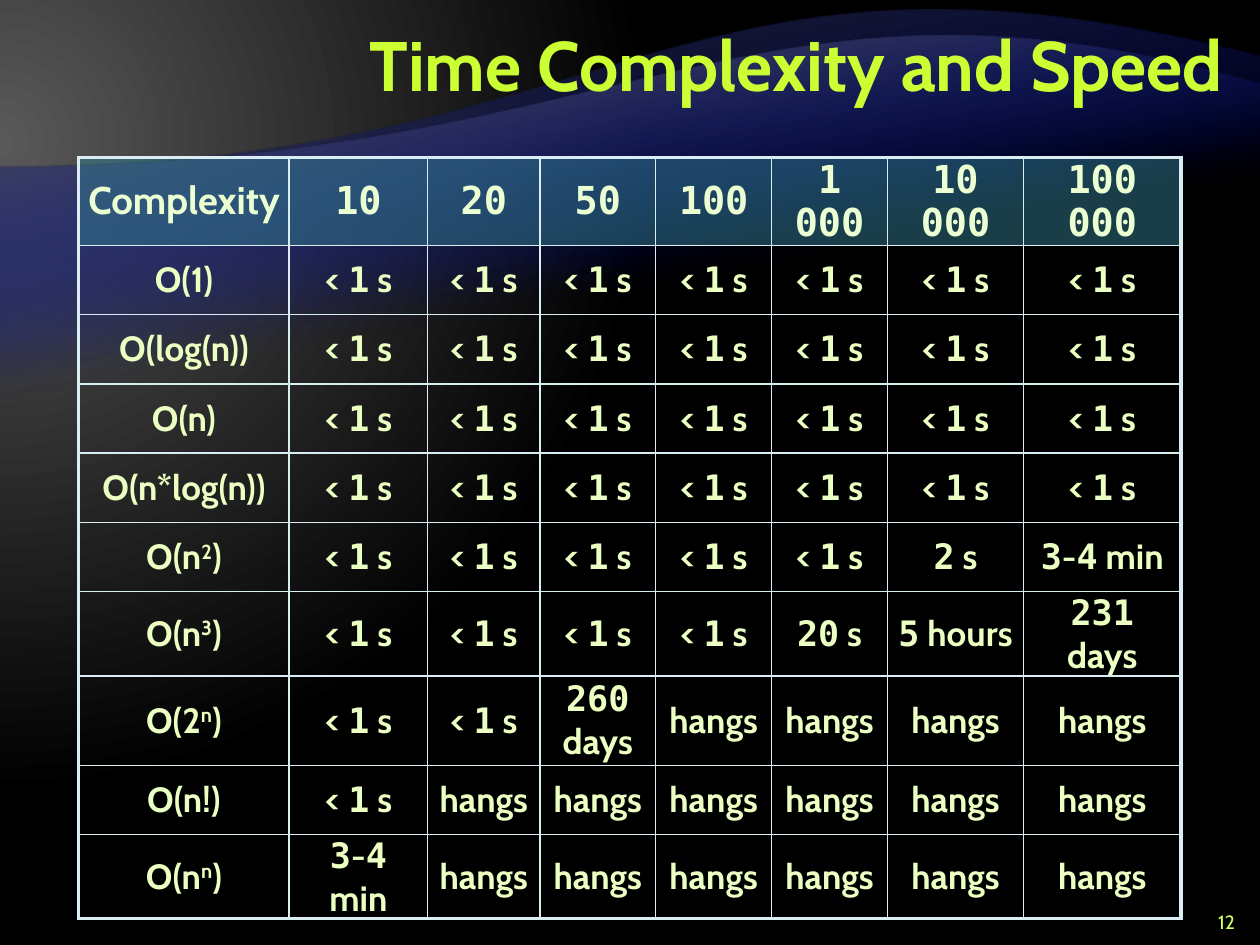
"""Build a slide with a table of running times by time complexity and input size."""
from dataclasses import dataclass
from itertools import groupby

from lxml.etree import SubElement
from pptx import Presentation
from pptx.dml.color import RGBColor as RGB
from pptx.enum.text import MSO_ANCHOR as Anchor, PP_ALIGN as Align
from pptx.oxml import parse_xml
from pptx.oxml.ns import nsdecls, qn
from pptx.util import Inches, Pt

W, H = 10, 7.5
SANS, MONO = "Cabin", "DejaVu Sans Mono"
COLORS = {
    "title": "CCFF33", "number": "CCFF66", "head": "EBFFD2", "body": "EBFFC2",
    "head_fill": "337D8F", "border": "DAEDF2", "glow": "595959", "night": "000000",
    "blue": "000D9E", "smoke": "262626",
}
THIN, THICK = 1, 2.25
COLS = [1.67, 1.1, 0.89, 0.92, 0.92, 0.92, 1.08, 1.25]
ROW, TALL_ROW, TALL_LABEL = 0.55, 0.71, "O(2^n)"
FAST, HANGS, MINUTES = "< 1 s", "hangs", "3-4 min"
HEAD = ["Complexity", "10", "20", "50", "100", "1 000", "10 000", "100 000"]
BODY = [
    *([label] + [FAST] * 7 for label in ("O(1)", "O(log(n))", "O(n)", "O(n*log(n))")),
    ["O(n^2)"] + [FAST] * 5 + ["2 s", MINUTES],
    ["O(n^3)"] + [FAST] * 4 + ["20 s", "5 hours", "231 days"],
    [TALL_LABEL] + [FAST] * 2 + ["260 days"] + [HANGS] * 4,
    ["O(n!)", FAST] + [HANGS] * 6,
    ["O(n^n)", MINUTES] + [HANGS] * 6,
]


@dataclass
class Wave:
    """A full-width band with one curved edge, in inches before its half turn."""
    top: float
    height: float
    shoulder: float
    control: tuple
    color: str


@dataclass
class Style:
    """The format of a run of text."""
    size: float
    color: str
    bold: bool = True


WAVES = [
    Wave(0.45, 6.08, 5.2, (4.66, 7.28), "smoke"),
    Wave(0.67, 4.9, 4.24, (4.02, 6.06), "glow"),
]
TITLE, NUMBER = Style(40, "title"), Style(11, "number", bold=False)
HEAD_STYLE, BODY_STYLE = Style(22, "head"), Style(20, "body")


def set_gradient(element, stops: list, shade: str) -> None:
    """Replace the first gradient in an element by the given stops and shade."""
    gs = "".join(
        f'<a:gs pos="{pos * 1000}"><a:srgbClr val="{COLORS[color]}">'
        f'<a:alpha val="{alpha * 1000}"/></a:srgbClr></a:gs>'
        for pos, color, alpha in stops)
    old = element.find(".//" + qn("a:gradFill"))
    old.getparent().replace(old, parse_xml(
        f'<a:gradFill {nsdecls("a")} rotWithShape="1">'
        f'<a:gsLst>{gs}</a:gsLst>{shade}</a:gradFill>'))


def add_wave(s, wave: Wave) -> None:
    """Draw a band that fades out downwards, its last edge bent into a curve."""
    corners = [(W, 0), (W, wave.shoulder), (0, wave.height)]
    fb = s.shapes.build_freeform(0, 0)
    fb.add_line_segments([(Inches(x), Inches(y)) for x, y in corners], close=True)
    sp = fb.convert_to_shape(0, Inches(wave.top))
    curve = sp.element.findall(".//" + qn("a:lnTo"))[-1]
    curve.tag = qn("a:cubicBezTo")
    for i, (x, y) in enumerate([(W / 2, wave.shoulder), wave.control]):
        curve.insert(i, SubElement(curve, qn("a:pt"), x=str(Inches(x)), y=str(Inches(y))))
    sp.rotation = 180
    sp.shadow.inherit = False
    sp.line.fill.background()
    sp.fill.gradient()
    set_gradient(sp.element, [(65, "blue", 0), (100, wave.color, 100)],
                 '<a:lin ang="4800000" scaled="0"/>')


def add_run(p, text: str, style: Style, *, font: str = SANS):
    """Append one formatted run to a paragraph and return it."""
    r = p.add_run()
    r.text = text
    r.font.name, r.font.size, r.font.bold = font, Pt(style.size), style.bold
    r.font.color.rgb = RGB.from_string(COLORS[style.color])
    return r


def add_label(p, text: str, style: Style) -> None:
    """Write a row label, raising the character after a caret."""
    base, caret, rest = text.partition("^")
    add_run(p, base, style)
    if caret:
        add_run(p, rest[0], style).font._element.set("baseline", "30000")
        add_run(p, rest[1:], style)


def add_value(p, text: str, style: Style) -> None:
    """Write a value with its digits in the monospaced font."""
    for is_number, chars in groupby(text, str.isdigit):
        add_run(p, "".join(chars), style, font=MONO if is_number else SANS)


def add_text(s, text: str, box: tuple, style: Style, *, spacing=None) -> None:
    """Add a right-aligned line of text in a box given as shares of the slide."""
    place = [Inches(share * side) for share, side in zip(box, (W, H, W, H))]
    tf = s.shapes.add_textbox(*place).text_frame
    tf.word_wrap, tf.vertical_anchor = True, Anchor.MIDDLE
    p = tf.paragraphs[0]
    p.alignment, p.line_spacing = Align.RIGHT, spacing
    add_run(p, text, style)


def set_borders(cell, **widths: float) -> None:
    """Set the L, R, T and B borders of a cell, in points."""
    for side, width in widths.items():
        ln = SubElement(cell._tc.get_or_add_tcPr(), qn(f"a:ln{side}"), w=str(Pt(width)))
        fill = SubElement(ln, qn("a:solidFill"))
        SubElement(fill, qn("a:srgbClr"), val=COLORS["border"])


def format_head(cell, p) -> None:
    """Give a header cell its half-transparent fill and tight spacing."""
    cell.fill.solid()
    cell.fill.fore_color.rgb = RGB.from_string(COLORS["head_fill"])
    color = cell._tc.tcPr.find(qn("a:solidFill")).find(qn("a:srgbClr"))
    SubElement(color, qn("a:alpha"), val="50000")
    p.line_spacing = 0.95
    before = SubElement(p._p.get_or_add_pPr(), qn("a:spcBef"))
    SubElement(before, qn("a:spcPct"), val="40000")


def format_body(cell, p) -> None:
    """Leave a body cell clear, with a little space around its text."""
    cell.fill.background()
    p.space_before = p.space_after = Pt(3)


def fill_cell(cell, text: str, *, is_head: bool, is_label: bool) -> None:
    """Format a cell and write its text."""
    cell.margin_left = cell.margin_right = Inches(0.07)
    cell.margin_top = cell.margin_bottom = 0
    cell.vertical_anchor = Anchor.MIDDLE
    p = cell.text_frame.paragraphs[0]
    p.alignment = Align.CENTER
    format_cell = format_head if is_head else format_body
    format_cell(cell, p)
    write = add_label if is_label else add_value
    write(p, text, HEAD_STYLE if is_head else BODY_STYLE)


def add_timings(s, left: float, top: float) -> None:
    """Add the table of timings with a thick outer frame."""
    rows = [HEAD, *BODY]
    heights = [TALL_ROW if row[0] == TALL_LABEL else ROW for row in rows]
    last_row, last_col = len(rows) - 1, len(COLS) - 1
    table = s.shapes.add_table(len(rows), len(COLS), Inches(left * W), Inches(top * H),
                               Inches(sum(COLS)), Inches(sum(heights))).table
    table.first_row = table.horz_banding = False
    for col, width in zip(table.columns, COLS):
        col.width = Inches(width)
    for i, (texts, height) in enumerate(zip(rows, heights)):
        table.rows[i].height = Inches(height)
        for j, text in enumerate(texts):
            cell = table.cell(i, j)
            outer = {"L": j == 0, "R": j == last_col, "T": i == 0, "B": i == last_row}
            set_borders(cell, **{side: THICK if edge else THIN for side, edge in outer.items()})
            fill_cell(cell, text, is_head=i == 0, is_label=j == 0)


def main() -> None:
    """Build and save the slide."""
    prs = Presentation()
    prs.slide_width, prs.slide_height = Inches(W), Inches(H)
    s = prs.slides.add_slide(prs.slide_layouts[6])
    s.background.fill.gradient()
    set_gradient(s.element, [(0, "glow", 100), (83, "night", 100)],
                 '<a:path path="circle">'
                 '<a:fillToRect l="20000" t="30000" r="135000" b="100000"/></a:path>')
    for wave in WAVES:
        add_wave(s, wave)
    add_text(s, "Time Complexity and Speed", (0.2, 0.01, 0.78, 0.13), TITLE, spacing=Pt(40))
    add_text(s, "12", (0.94, 0.96, 0.05, 0.03), NUMBER)
    add_timings(s, 1 / 16, 1 / 6)
    prs.save("out.pptx")


if __name__ == "__main__":
    main()
